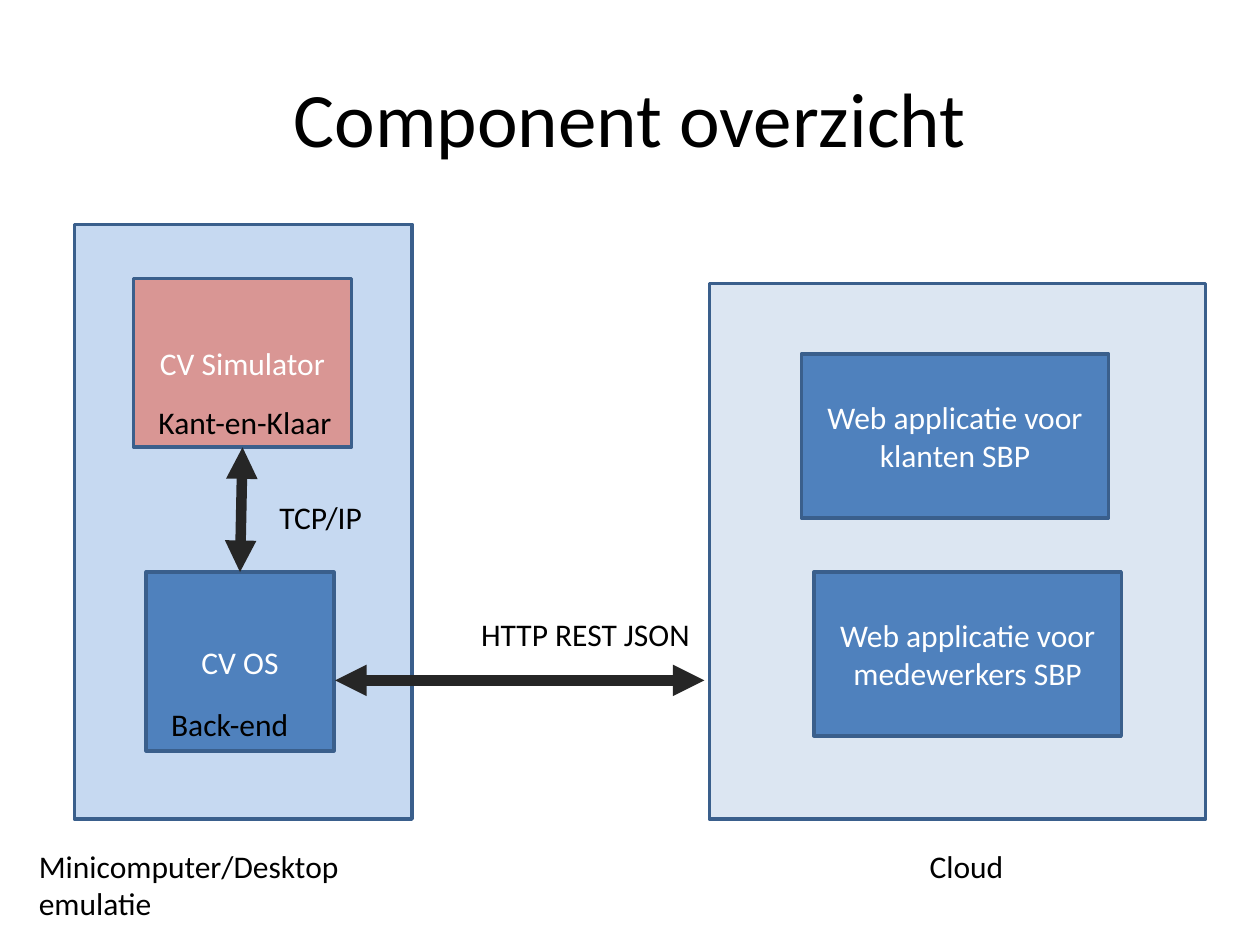
from pptx import Presentation
from pptx.dml.color import RGBColor
from pptx.enum.shapes import MSO_CONNECTOR, MSO_SHAPE
from pptx.enum.text import MSO_ANCHOR, MSO_AUTO_SIZE, PP_ALIGN
from pptx.oxml.ns import qn
from pptx.util import Inches, Pt
from lxml.etree import SubElement

BLACK = RGBColor(0x00, 0x00, 0x00)
WHITE = RGBColor(0xFF, 0xFF, 0xFF)
DEVICE_BLUE = RGBColor(0xC6, 0xD9, 0xF1)
CLOUD_BLUE = RGBColor(0xDC, 0xE6, 0xF2)
COMPONENT_BLUE = RGBColor(0x4F, 0x81, 0xBD)
READY_MADE_RED = RGBColor(0xD9, 0x96, 0x94)
BORDER = RGBColor(0x3A, 0x5F, 0x8C)
ARROW = RGBColor(0x26, 0x26, 0x26)


class Diagram:
    font_name = "Calibri"
    body_size = 18
    title_size = 44

    def __init__(self, slide):
        self.slide = slide

    def add_text(self, frame, text, size, color, align):
        paragraph = frame.paragraphs[0]
        paragraph.alignment = align
        run = paragraph.add_run()
        run.text = text
        run.font.name = self.font_name
        run.font.size = Pt(size)
        run.font.color.rgb = color

    def title(self, text, left, top, width, height):
        title = self.slide.shapes.title
        title.left, title.top = Inches(left), Inches(top)
        title.width, title.height = Inches(width), Inches(height)
        title.text_frame.vertical_anchor = MSO_ANCHOR.MIDDLE
        self.add_text(title.text_frame, text, self.title_size, BLACK, PP_ALIGN.CENTER)

    def box(self, left, top, width, height, fill, text=None):
        box = self.slide.shapes.add_shape(
            MSO_SHAPE.RECTANGLE,
            Inches(left), Inches(top), Inches(width), Inches(height))
        box.shadow.inherit = False
        box.fill.solid()
        box.fill.fore_color.rgb = fill
        box.line.color.rgb = BORDER
        box.line.width = Pt(2)
        if text:
            box.text_frame.word_wrap = True
            box.text_frame.vertical_anchor = MSO_ANCHOR.MIDDLE
            self.add_text(box.text_frame, text, self.body_size, WHITE, PP_ALIGN.CENTER)
        return box

    def label(self, text, left, top, width, wrap=False):
        label = self.slide.shapes.add_textbox(
            Inches(left), Inches(top), Inches(width), Inches(0.4))
        label.text_frame.word_wrap = wrap
        label.text_frame.auto_size = MSO_AUTO_SIZE.SHAPE_TO_FIT_TEXT
        self.add_text(label.text_frame, text, self.body_size, BLACK, PP_ALIGN.LEFT)

    def double_arrow(self, x1, y1, x2, y2):
        arrow = self.slide.shapes.add_connector(
            MSO_CONNECTOR.STRAIGHT,
            Inches(x1), Inches(y1), Inches(x2), Inches(y2))
        arrow.line.color.rgb = ARROW
        arrow.line.width = Pt(6)
        properties = arrow._element.spPr
        line = properties.find(qn("a:ln"))
        for end in ("a:headEnd", "a:tailEnd"):
            SubElement(line, qn(end), type="triangle")
        SubElement(properties, qn("a:effectLst"))
        return arrow


def main():
    presentation = Presentation()
    presentation.slide_width = Inches(10)
    presentation.slide_height = Inches(7.5)
    diagram = Diagram(presentation.slides.add_slide(presentation.slide_layouts[5]))

    diagram.title("Component overzicht", 0.5, 0.3, 9, 1.25)

    diagram.box(0.59, 1.78, 2.68, 4.72, DEVICE_BLUE)
    diagram.box(5.63, 2.25, 3.94, 4.25, CLOUD_BLUE)
    diagram.label("Cloud", 7.28, 6.67, 0.79)
    diagram.label("Minicomputer/Desktop emulatie", 0.21, 6.67, 3.51)

    simulator = diagram.box(1.06, 2.21, 1.73, 1.34, READY_MADE_RED, "CV Simulator")
    cv_os = diagram.box(1.16, 4.54, 1.49, 1.42, COMPONENT_BLUE, "CV OS")
    diagram.box(6.36, 2.81, 2.44, 1.3, COMPONENT_BLUE,
                "Web applicatie voor klanten SBP")
    diagram.box(6.46, 4.54, 2.44, 1.3, COMPONENT_BLUE,
                "Web applicatie voor medewerkers SBP")

    diagram.label("HTTP REST JSON", 3.72, 4.83, 1.87)
    diagram.label("TCP/IP", 2.12, 3.9, 0.86)
    diagram.double_arrow(2.66, 5.4, 5.59, 5.4)
    tcp_link = diagram.double_arrow(1.93, 3.55, 1.91, 4.54)
    tcp_link.begin_connect(simulator, 2)
    tcp_link.end_connect(cv_os, 0)

    diagram.label("Back-end", 1.26, 5.55, 1.29, wrap=True)
    diagram.label("Kant-en-Klaar", 1.16, 3.15, 1.63, wrap=True)

    presentation.save("out.pptx")


if __name__ == "__main__":
    main()
